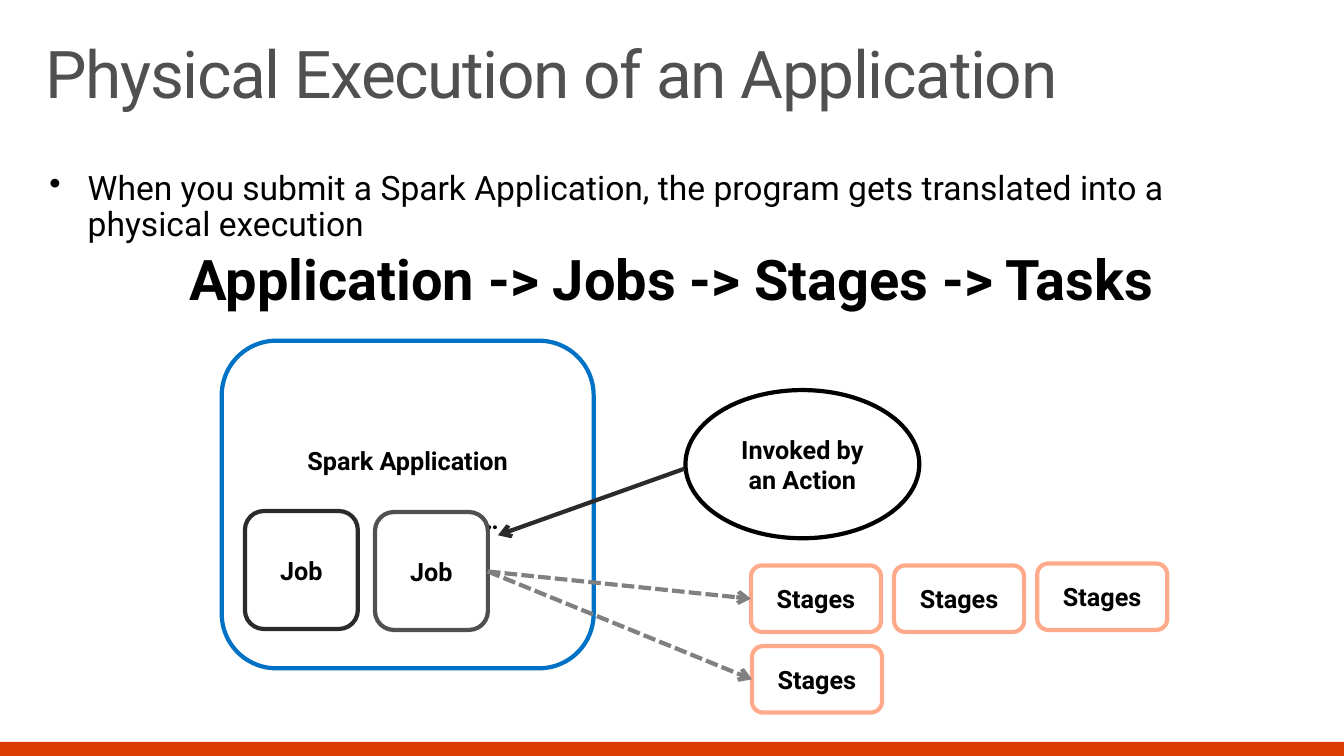
import dataclasses

import pptx
import pptx.dml.color
import pptx.enum.dml
import pptx.enum.shapes
import pptx.enum.text
import pptx.oxml
import pptx.oxml.ns
import pptx.util

RGB = pptx.dml.color.RGBColor
SHAPE = pptx.enum.shapes.MSO_SHAPE
ALIGN = pptx.enum.text.PP_ALIGN
ANCHOR = pptx.enum.text.MSO_ANCHOR

BLACK = RGB(0x00, 0x00, 0x00)
WHITE = RGB(0xFF, 0xFF, 0xFF)
ORANGE = RGB(0xDC, 0x3C, 0x00)
BLUE = RGB(0x00, 0x72, 0xC6)
CHARCOAL = RGB(0x2B, 0x2B, 0x2B)
DARK_GRAY = RGB(0x50, 0x50, 0x50)
GRAY = RGB(0x80, 0x80, 0x80)
SALMON = RGB(0xFF, 0xAB, 0x8B)

FONT = "Roboto"
COLS, ROWS = 40, 30
SLIDE_W, SLIDE_H = pptx.util.Inches(13.333), pptx.util.Inches(7.5)
STAGE_LEFT, STAGE_PITCH = 22.35, 4.26


@dataclasses.dataclass(frozen=True)
class Area:
    col: float
    row: float
    cols: float
    rows: float


@dataclasses.dataclass(frozen=True)
class Node:
    text: str
    area: Area
    line: RGB
    kind: SHAPE = SHAPE.ROUNDED_RECTANGLE


@dataclasses.dataclass(frozen=True)
class Arrow:
    start: tuple[float, float]
    end: tuple[float, float]
    color: RGB
    dashed: bool = False


def stage(col: float, row: float) -> Node:
    return Node("Stages", Area(col, row, 3.87, 2.64), SALMON)


APPLICATION = Node("Spark Application", Area(6.6, 13.52, 11.07, 13), BLUE)
NODES = [
    Node("Job", Area(7.29, 20.28, 3.36, 4.68), CHARCOAL),
    Node("Job", Area(11.16, 20.32, 3.36, 4.68), DARK_GRAY),
    Node("Invoked by an Action", Area(20.4, 15.48, 6.96, 5.88), BLACK, SHAPE.OVAL),
    *[stage(STAGE_LEFT + i * STAGE_PITCH, row)
      for i, row in enumerate((22.44, 22.44, 22.36))],
    stage(22.38, 25.64),
]
ARROWS = [
    Arrow((20.37, 18.6), (14.82, 21.24), CHARCOAL),
    Arrow((14.52, 22.68), (22.35, 23.76), GRAY, True),
    Arrow((14.52, 22.68), (22.38, 26.96), GRAY, True),
]


def x(col: float) -> int:
    return round(SLIDE_W * col / COLS)


def y(row: float) -> int:
    return round(SLIDE_H * row / ROWS)


def box(area: Area) -> tuple[int, int, int, int]:
    return x(area.col), y(area.row), x(area.cols), y(area.rows)


def style(p, size: float, color: RGB = BLACK, bold: bool = False) -> None:
    for r in p.runs:
        r.font.name = FONT
        r.font.size = pptx.util.Pt(size)
        r.font.bold = bold
        r.font.color.rgb = color


def add_text(s, area: Area, text: str, inset_x: float, inset_y: float):
    tf = s.shapes.add_textbox(*box(area)).text_frame
    tf.word_wrap = True
    tf.margin_left = tf.margin_right = pptx.util.Inches(inset_x)
    tf.margin_top = tf.margin_bottom = pptx.util.Inches(inset_y)
    tf.text = text
    for p in tf.paragraphs:
        p.line_spacing = 0.9
    return tf


def add_node(s, node: Node):
    sp = s.shapes.add_shape(node.kind, *box(node.area))
    sp.shadow.inherit = False
    sp.fill.solid()
    sp.fill.fore_color.rgb = WHITE
    sp.line.color.rgb = node.line
    sp.line.width = pptx.util.Pt(3)
    tf = sp.text_frame
    tf.word_wrap = True
    tf.vertical_anchor = ANCHOR.MIDDLE
    tf.text = node.text
    tf.paragraphs[0].alignment = ALIGN.CENTER
    style(tf.paragraphs[0], 18, bold=True)
    return sp


def add_arrow(s, arrow: Arrow) -> None:
    (x1, y1), (x2, y2) = arrow.start, arrow.end
    line = s.shapes.add_connector(
        pptx.enum.shapes.MSO_CONNECTOR.STRAIGHT, x(x1), y(y1), x(x2), y(y2))
    line.line.color.rgb = arrow.color
    line.line.width = pptx.util.Pt(3)
    if arrow.dashed:
        line.line.dash_style = pptx.enum.dml.MSO_LINE.SQUARE_DOT
        line.line.dash_style = pptx.enum.dml.MSO_LINE.DASH
        line.line._ln.prstDash.set("val", "sysDash")
    ln = line.line._ln
    ln.append(pptx.oxml.parse_xml(
        f'<a:tailEnd {pptx.oxml.ns.nsdecls("a")} type="arrow"/>'))
    ln.addnext(pptx.oxml.parse_xml(
        f'<a:effectLst {pptx.oxml.ns.nsdecls("a")}/>'))


def add_application(s) -> None:
    tf = add_node(s, APPLICATION).text_frame
    tf.margin_bottom = pptx.util.Inches(0.34)
    p = tf.add_paragraph()
    p.text = "…"
    p.alignment = ALIGN.CENTER
    p.space_before = pptx.util.Pt(21)
    p._p.get_or_add_pPr().set("marL", str(pptx.util.Inches(1.62)))
    style(p, 18, bold=True)


def add_headings(s) -> None:
    tf = add_text(s, Area(0.87, 1.24, 38.22, 4.04),
                  "Physical Execution of an Application", 0.16, 0.1)
    style(tf.paragraphs[0], 47, DARK_GRAY)
    tf.paragraphs[0].runs[0].font._element.set("spc", "-100")

    tf = add_text(s, Area(0.87, 6.16, 38.22, 19.4),
                  "When you submit a Spark Application, the program gets "
                  "translated into a physical execution\n"
                  "Application -> Jobs -> Stages -> Tasks", 0.2, 0.16)
    intro, chain = tf.paragraphs
    intro.space_after = chain.space_after = pptx.util.Pt(6)
    pPr = intro._p.get_or_add_pPr()
    indent = pptx.util.Inches(0.38)
    pPr.set("marL", str(indent))
    pPr.set("indent", str(-indent))
    pPr.append(pptx.oxml.parse_xml(
        f'<a:buChar {pptx.oxml.ns.nsdecls("a")} char="•"/>'))
    style(intro, 24)
    chain.alignment = ALIGN.CENTER
    style(chain, 40, bold=True)


def main() -> None:
    prs = pptx.Presentation()
    prs.slide_width, prs.slide_height = SLIDE_W, SLIDE_H
    s = prs.slides.add_slide(prs.slide_layouts[6])
    footer = s.shapes.add_shape(SHAPE.RECTANGLE, *box(Area(0, 29.44, COLS, 0.56)))
    footer.shadow.inherit = False
    footer.fill.solid()
    footer.fill.fore_color.rgb = ORANGE
    footer.line.fill.background()
    add_headings(s)
    add_application(s)
    for node in NODES:
        add_node(s, node)
    for arrow in ARROWS:
        add_arrow(s, arrow)
    prs.save("out.pptx")


if __name__ == "__main__":
    main()
